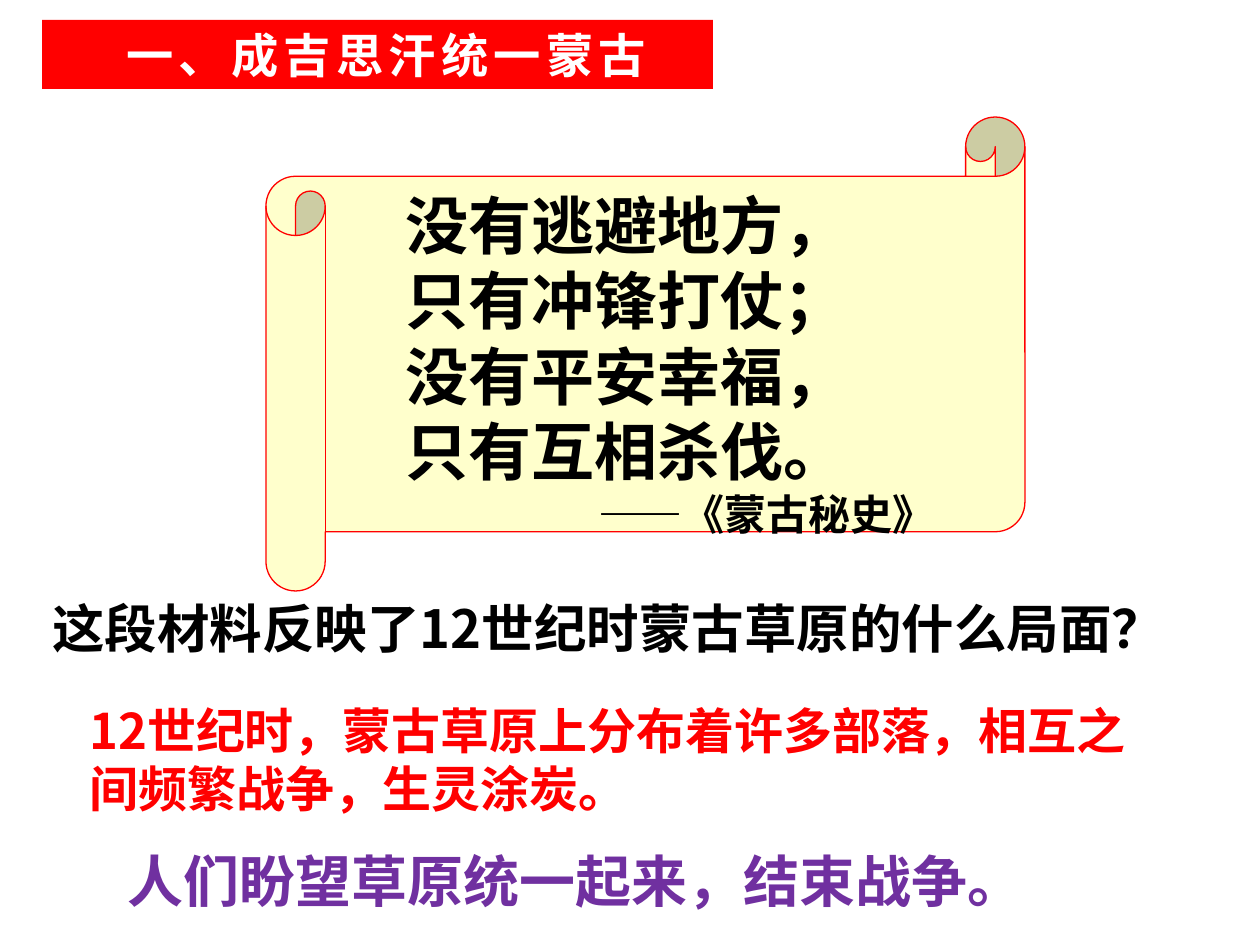
from dataclasses import dataclass

from lxml.etree import SubElement
from pptx import Presentation
from pptx.dml.color import RGBColor
from pptx.enum.shapes import MSO_SHAPE
from pptx.enum.text import MSO_ANCHOR, MSO_AUTO_SIZE, PP_ALIGN
from pptx.oxml.ns import qn
from pptx.util import Emu, Pt

EMU_PER_PX = 914400 / 126


@dataclass(frozen=True)
class Theme:
    cjk: str = "Noto Sans CJK SC"
    heading_font: str = "Arial"
    source_font: str = "Calibri"
    ink: str = "000000"
    red: str = "FF0000"
    purple: str = "7030A0"
    white: str = "FFFFFF"
    parchment: str = "FFFFCC"
    heading_size: int = 27
    verse_size: int = 36
    source_size: int = 24
    question_size: int = 30
    answer_size: int = 28
    wish_size: int = 32
    leading: float = 1.2
    tracking: int = 300


THEME = Theme()


def px(length):
    return Emu(round(length * EMU_PER_PX))


def place(box):
    return [px(length) for length in box]


def rgb(colour):
    return RGBColor.from_string(colour)


def style(paragraph, size, colour, latin=THEME.cjk):
    paragraph.line_spacing = Pt(size * THEME.leading)
    for run in paragraph.runs:
        font = run.font
        font.size, font.bold, font.name = Pt(size), True, latin
        font.color.rgb = rgb(colour)
        SubElement(font._element, qn("a:ea"), typeface=THEME.cjk)


def add_filled(shapes, preset, box, fill):
    shape = shapes.add_shape(preset, *place(box))
    shape.shadow.inherit = False
    shape.fill.solid()
    shape.fill.fore_color.rgb = rgb(fill)
    return shape


def add_heading(shapes, box, wording):
    banner = add_filled(shapes, MSO_SHAPE.RECTANGLE, box, THEME.red)
    banner.line.fill.background()
    frame = banner.text_frame
    frame.text = wording
    frame.margin_left = px(30)
    frame.vertical_anchor = MSO_ANCHOR.MIDDLE
    heading = frame.paragraphs[0]
    heading.alignment = PP_ALIGN.CENTER
    style(heading, THEME.heading_size, THEME.white, THEME.heading_font)
    for run in heading.runs:
        run.font._element.set("spc", str(THEME.tracking))


def add_scroll(shapes, box, verses, source):
    """Draw the parchment with the poem and its source inside the box."""
    left, top, width, height = box
    group = shapes.add_group_shape().shapes
    scroll = add_filled(group, MSO_SHAPE.HORIZONTAL_SCROLL, box, THEME.parchment)
    scroll.adjustments[0] = 0.125
    scroll.line.color.rgb = rgb(THEME.red)
    scroll.line.width = Pt(0.75)

    poem_box = (left + 127, top + 63, width - 205, height - 109)
    frame = group.add_textbox(*place(poem_box)).text_frame
    frame.word_wrap = True
    frame.text = "\n".join([*verses, source])
    *verse_lines, source_line = frame.paragraphs
    for verse in verse_lines:
        style(verse, THEME.verse_size, THEME.ink)
    source_line.alignment = PP_ALIGN.RIGHT
    style(source_line, THEME.source_size, THEME.ink, THEME.source_font)


def add_statement(shapes, box, wording, size, colour, wrap=True):
    frame = shapes.add_textbox(*place(box)).text_frame
    frame.word_wrap = wrap
    frame.auto_size = MSO_AUTO_SIZE.SHAPE_TO_FIT_TEXT
    frame.text = wording
    style(frame.paragraphs[0], size, colour)


def main():
    deck = Presentation()
    deck.slide_width, deck.slide_height = px(1260), px(945)
    shapes = deck.slides.add_slide(deck.slide_layouts[6]).shapes

    add_scroll(
        shapes, (266, 117, 759, 474),
        ["没有逃避地方，", "只有冲锋打仗；", "没有平安幸福，", "只有互相杀伐。"],
        "——《蒙古秘史》",
    )
    add_statement(shapes, (40, 590, 1179, 76),
                  "这段材料反映了12世纪时蒙古草原的什么局面？",
                  THEME.question_size, THEME.ink)
    add_statement(shapes, (77, 694, 1066, 130),
                  "12世纪时，蒙古草原上分布着许多部落，相互之间频繁战争，生灵涂炭。",
                  THEME.answer_size, THEME.red)
    add_statement(shapes, (115, 840, 925, 79),
                  "人们盼望草原统一起来，结束战争。",
                  THEME.wish_size, THEME.purple, wrap=False)
    add_heading(shapes, (42, 20, 671, 69), "一、成吉思汗统一蒙古")

    deck.save("out.pptx")


if __name__ == "__main__":
    main()
